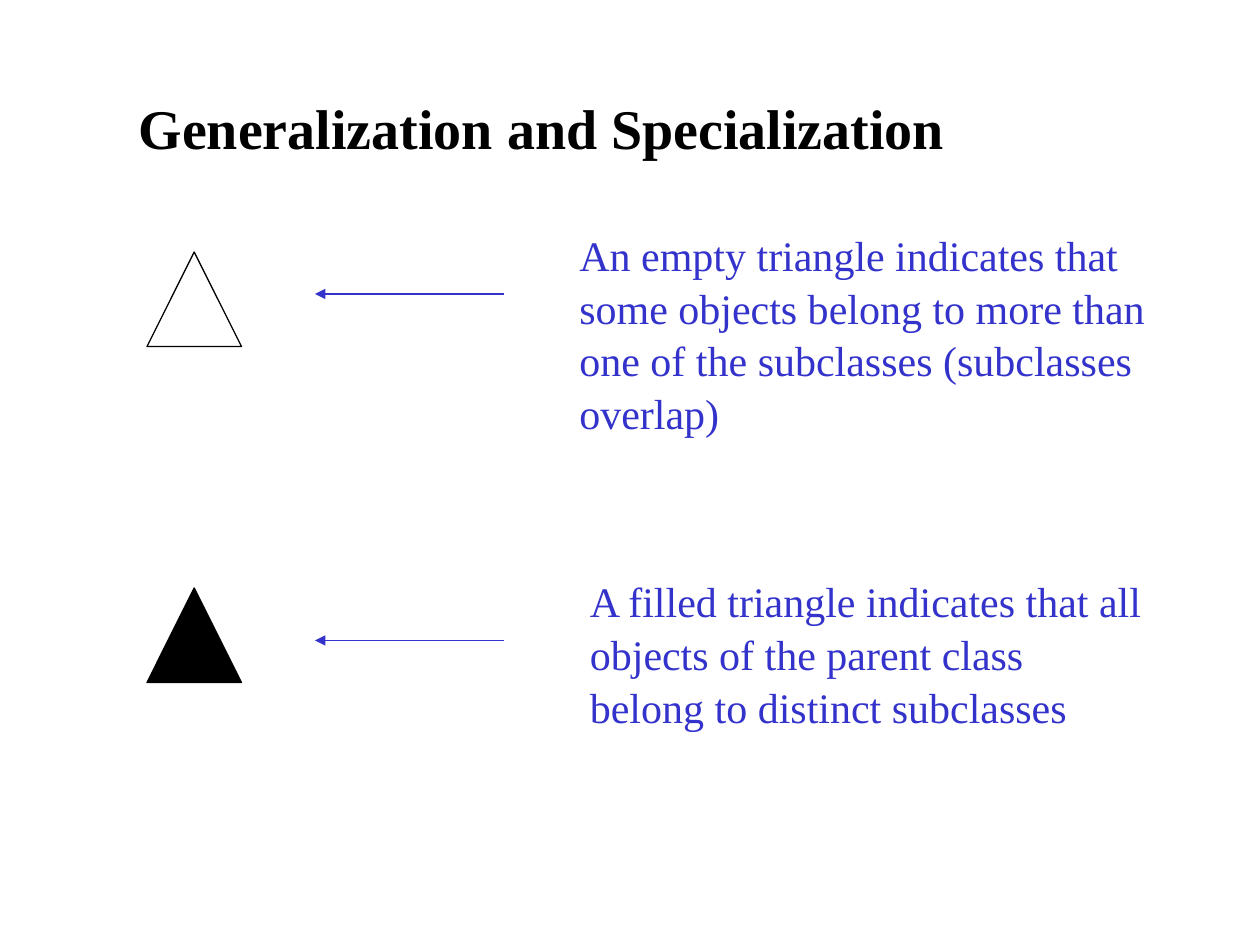
import dataclasses

import pptx
import pptx.dml.color
import pptx.enum.shapes
import pptx.enum.text
import pptx.oxml.ns
import pptx.util
from lxml import etree

Pt = pptx.util.Pt


@dataclasses.dataclass(frozen=True)
class Theme:
    font: str = "Times New Roman"
    title_size: int = 32
    body_size: int = 24
    line_width: float = 0.75
    line_spacing: float = 1.05
    black: str = "000000"
    white: str = "FFFFFF"
    accent: str = "3333CC"


def rgb(color):
    return pptx.dml.color.RGBColor.from_string(color)


class SlideBuilder:
    """Draws styled elements on one slide; all lengths are in points."""

    def __init__(self, slide, theme):
        self.slide = slide
        self.theme = theme

    def set_text(self, shape, text, size, color, bold=False):
        frame = shape.text_frame
        frame.text = text
        frame.word_wrap = True
        frame.auto_size = pptx.enum.text.MSO_AUTO_SIZE.NONE
        frame.vertical_anchor = pptx.enum.text.MSO_ANCHOR.TOP
        paragraph = frame.paragraphs[0]
        paragraph.alignment = pptx.enum.text.PP_ALIGN.LEFT
        paragraph.line_spacing = self.theme.line_spacing
        paragraph.space_before = Pt(0)
        font = paragraph.runs[0].font
        font.name = self.theme.font
        font.size = Pt(size)
        font.bold = bold
        font.color.rgb = rgb(color)

    def title(self, text, left, top, width, height):
        shape = self.slide.shapes.title
        shape.left, shape.top = Pt(left), Pt(top)
        shape.width, shape.height = Pt(width), Pt(height)
        self.set_text(shape, text, self.theme.title_size, self.theme.black, bold=True)

    def text(self, text, left, top, width, height):
        box = self.slide.shapes.add_textbox(Pt(left), Pt(top), Pt(width), Pt(height))
        self.set_text(box, text, self.theme.body_size, self.theme.accent)

    def triangle(self, left, top, size, fill):
        shape = self.slide.shapes.add_shape(
            pptx.enum.shapes.MSO_SHAPE.FLOWCHART_EXTRACT,
            Pt(left), Pt(top), Pt(size), Pt(size))
        shape.shadow.inherit = False
        shape.fill.solid()
        shape.fill.fore_color.rgb = rgb(fill)
        shape.line.color.rgb = rgb(self.theme.black)
        shape.line.width = Pt(self.theme.line_width)

    def arrow(self, start, end, y):
        connector = self.slide.shapes.add_connector(
            pptx.enum.shapes.MSO_CONNECTOR.STRAIGHT, Pt(start), Pt(y), Pt(end), Pt(y))
        connector.line.color.rgb = rgb(self.theme.accent)
        connector.line.width = Pt(self.theme.line_width)
        qn = pptx.oxml.ns.qn
        properties = connector.element.spPr
        etree.SubElement(properties.find(qn("a:ln")), qn("a:tailEnd"), type="triangle")
        etree.SubElement(properties, qn("a:effectLst"))


def main():
    presentation = pptx.Presentation()
    presentation.slide_width, presentation.slide_height = Pt(720), Pt(540)
    theme = Theme()
    title_only = presentation.slide_layouts[5]
    builder = SlideBuilder(presentation.slides.add_slide(title_only), theme)

    builder.title("Generalization and Specialization", 72, 48, 558, 46)

    # fill, triangle top, arrow y, text, text box (left, top, width, height)
    legend = [
        (theme.white, 144, 168,
         "An empty triangle indicates that some objects belong to more than "
         "one of the subclasses (subclasses overlap)", (324, 126, 354, 122.4)),
        (theme.black, 336, 366,
         "A filled triangle indicates that all objects of the parent class "
         "belong to distinct subclasses", (330, 324, 330, 93.6)),
    ]
    for fill, triangle_top, arrow_y, text, box in legend:
        builder.triangle(84, triangle_top, 54, fill)
        builder.arrow(288, 180, arrow_y)
        builder.text(text, *box)

    presentation.save("out.pptx")


if __name__ == "__main__":
    main()
